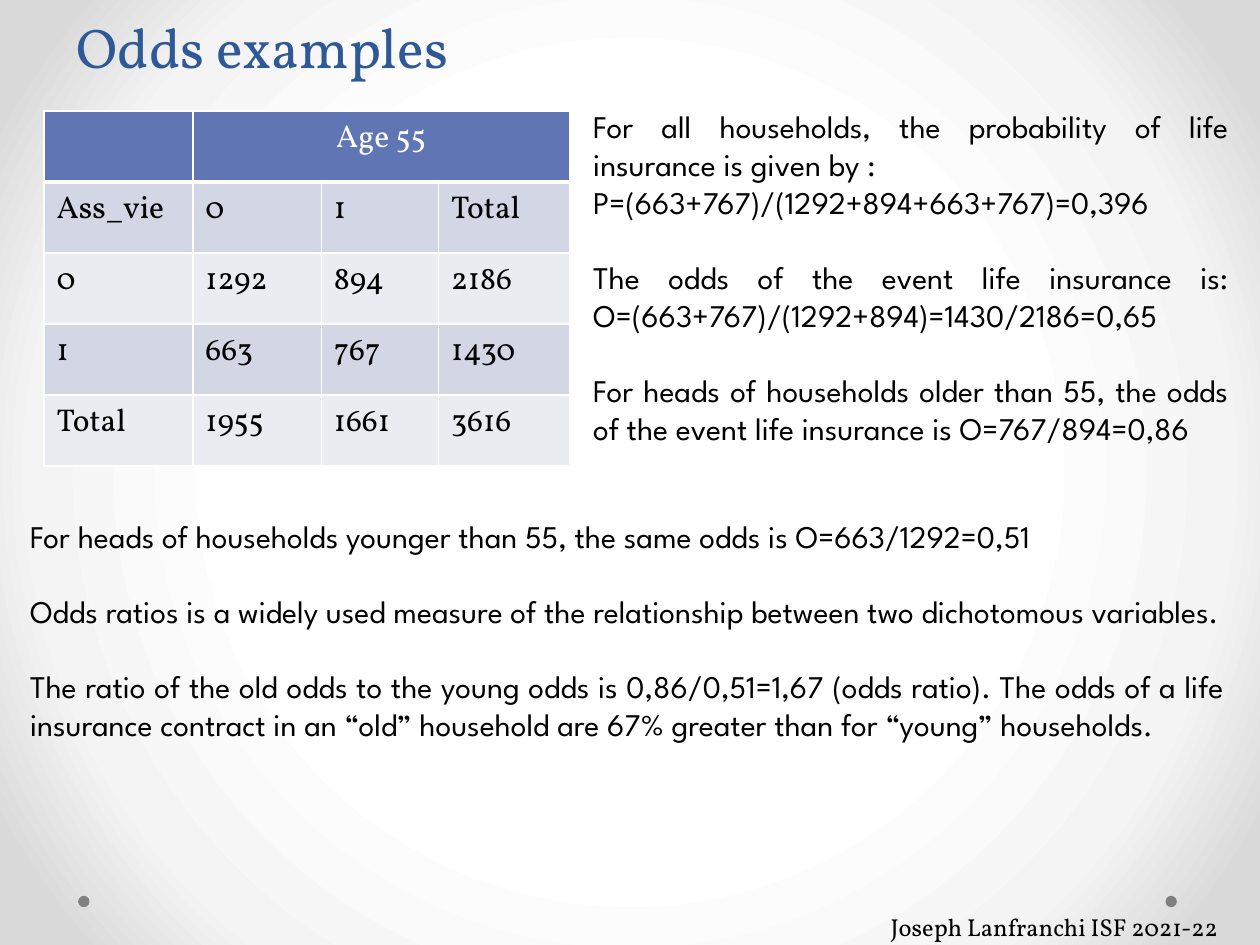
from dataclasses import dataclass

from lxml import etree
from pptx import Presentation
from pptx.dml.color import RGBColor
from pptx.enum.shapes import MSO_SHAPE
from pptx.enum.text import MSO_ANCHOR, PP_ALIGN
from pptx.oxml.ns import qn
from pptx.util import Inches, Pt

OVAL = MSO_SHAPE.OVAL
BOTTOM = MSO_ANCHOR.BOTTOM
LEFT, CENTER, JUSTIFY = PP_ALIGN.LEFT, PP_ALIGN.CENTER, PP_ALIGN.JUSTIFY


@dataclass(frozen=True)
class Theme:
    serif: str = "Vollkorn"
    sans: str = "League Spartan"
    heading: str = "2F5897"
    ink: str = "000000"
    white: str = "FFFFFF"
    header: str = "6076B4"
    bands: tuple = ("D2D6E5", "EAECF2")
    dot: str = "808080"
    glow: tuple = ((50, "FFFFFF"), (76, "F4F4F4"), (92, "DADADA"))
    title_size: int = 32
    body_size: int = 18
    footer_size: int = 14
    title_leading: int = 58
    blank_line: float = 21.5


THEME = Theme()

ODDS_ROWS = [
    ["", "Age 55", "", ""],
    ["Ass_vie", "0", "1", "Total"],
    ["0", "1292", "894", "2186"],
    ["1", "663", "767", "1430"],
    ["Total", "1955", "1661", "3616"],
]
COLUMN_WIDTHS = [1.18, 1.02, 0.93, 1.04]

PROBABILITY_NOTES = [
    ("For all households, the probability of life insurance is given by :", False),
    ("P=(663+767)/(1292+894+663+767)=0,396", True),
    ("The odds of the event life insurance is: O=(663+767)/(1292+894)=1430/2186=0,65", True),
    ("For heads of households older than 55, the odds of the event life insurance is O=767/894=0,86", False),
]
RATIO_NOTES = [
    ("For heads of households younger than 55, the same odds is O=663/1292=0,51", True),
    ("Odds ratios is a widely used measure of the relationship between two dichotomous variables.", True),
    ("The ratio of the old odds to the young odds is 0,86/0,51=1,67 (odds ratio). The odds of a life "
     "insurance contract in an “old” household are 67% greater than for “young” households.", False),
]


def inches(box):
    return [Inches(length) for length in box]


def write(paragraph, text, family, size, color, align=LEFT):
    paragraph.alignment = align
    run = paragraph.add_run()
    run.text = text
    for name, value in {"name": family, "size": Pt(size)}.items():
        setattr(run.font, name, value)
    run.font.color.rgb = RGBColor.from_string(color)


def paint_background(slide):
    slide.background.fill.gradient()
    gradient = slide.element.find(".//" + qn("a:gradFill"))
    for child in list(gradient):
        gradient.remove(child)
    stops = etree.SubElement(gradient, qn("a:gsLst"))
    for position, color in THEME.glow:
        stop = etree.SubElement(stops, qn("a:gs"), pos=str(position * 1000))
        etree.SubElement(stop, qn("a:srgbClr"), val=color)
    circle = etree.SubElement(gradient, qn("a:path"), path="circle")
    etree.SubElement(circle, qn("a:fillToRect"), {side: "50000" for side in "ltrb"})


def add_dots(slide, box):
    left, top, width, size = box
    for x in (left, left + width - size):
        dot = slide.shapes.add_shape(OVAL, *inches((x, top, size, size)))
        dot.shadow.inherit = False
        dot.fill.solid()
        dot.fill.fore_color.rgb = RGBColor.from_string(THEME.dot)
        dot.line.fill.background()


def place_title(slide, box, text):
    title = slide.shapes.title
    for name, value in zip(("left", "top", "width", "height"), inches(box)):
        setattr(title, name, value)
    title.text_frame.vertical_anchor = BOTTOM
    heading = title.text_frame.paragraphs[0]
    heading.line_spacing = Pt(THEME.title_leading)
    write(heading, text, THEME.serif, THEME.title_size, THEME.heading)


def style_cell(cell, fill, bottom_width):
    cell.fill.solid()
    cell.fill.fore_color.rgb = RGBColor.from_string(fill)
    properties = cell._tc.get_or_add_tcPr()
    widths = {"lnL": 1, "lnR": 1, "lnT": 1, "lnB": bottom_width}
    for index, (edge, width) in enumerate(widths.items()):
        border = etree.Element(qn("a:" + edge), w=str(Pt(width)))
        solid = etree.SubElement(border, qn("a:solidFill"))
        etree.SubElement(solid, qn("a:srgbClr"), val=THEME.white)
        properties.insert(index, border)


def add_odds_table(slide, box):
    frame = slide.shapes.add_table(len(ODDS_ROWS), len(COLUMN_WIDTHS), *inches(box))
    table = frame.table
    for column, width in zip(table.columns, COLUMN_WIDTHS):
        column.width = Inches(width)
    for r, row in enumerate(ODDS_ROWS):
        is_header = r == 0
        fill = THEME.header if is_header else THEME.bands[(r - 1) % 2]
        color, align = (THEME.white, CENTER) if is_header else (THEME.ink, LEFT)
        for c, text in enumerate(row):
            cell = table.cell(r, c)
            style_cell(cell, fill, 3 if is_header else 1)
            if text:
                write(cell.text_frame.paragraphs[0], text, THEME.serif,
                      THEME.body_size, color, align)
    table.cell(0, 1).merge(table.cell(0, 3))


def add_notes(slide, box, notes):
    frame = slide.shapes.add_textbox(*inches(box)).text_frame
    frame.word_wrap = True
    for index, (text, gap_after) in enumerate(notes):
        paragraph = frame.add_paragraph() if index else frame.paragraphs[0]
        paragraph.space_after = Pt(THEME.blank_line if gap_after else 0)
        write(paragraph, text, THEME.sans, THEME.body_size, THEME.ink, JUSTIFY)


def add_footer(slide, box, text):
    frame = slide.shapes.add_textbox(*inches(box)).text_frame
    frame.word_wrap = True
    write(frame.paragraphs[0], text, THEME.serif, THEME.footer_size, THEME.ink)


def main():
    deck = Presentation()
    deck.slide_width, deck.slide_height = Inches(10), Inches(7.5)
    slide = deck.slides.add_slide(deck.slide_layouts.get_by_name("Title Only"))
    paint_background(slide)
    add_dots(slide, (0.62, 7.11, 8.72, 0.09))
    place_title(slide, (0.51, 0.13, 9, 0.55), "Odds examples")
    add_odds_table(slide, (0.35, 0.88, sum(COLUMN_WIDTHS), 2.82))
    add_notes(slide, (4.61, 0.8, 5.24, 3.13), PROBABILITY_NOTES)
    add_notes(slide, (0.14, 4.05, 9.68, 2.52), RATIO_NOTES)
    add_footer(slide, (6.97, 7.19, 3.07, 0.34), "Joseph Lanfranchi ISF 2021-22")
    deck.save("out.pptx")


if __name__ == "__main__":
    main()
